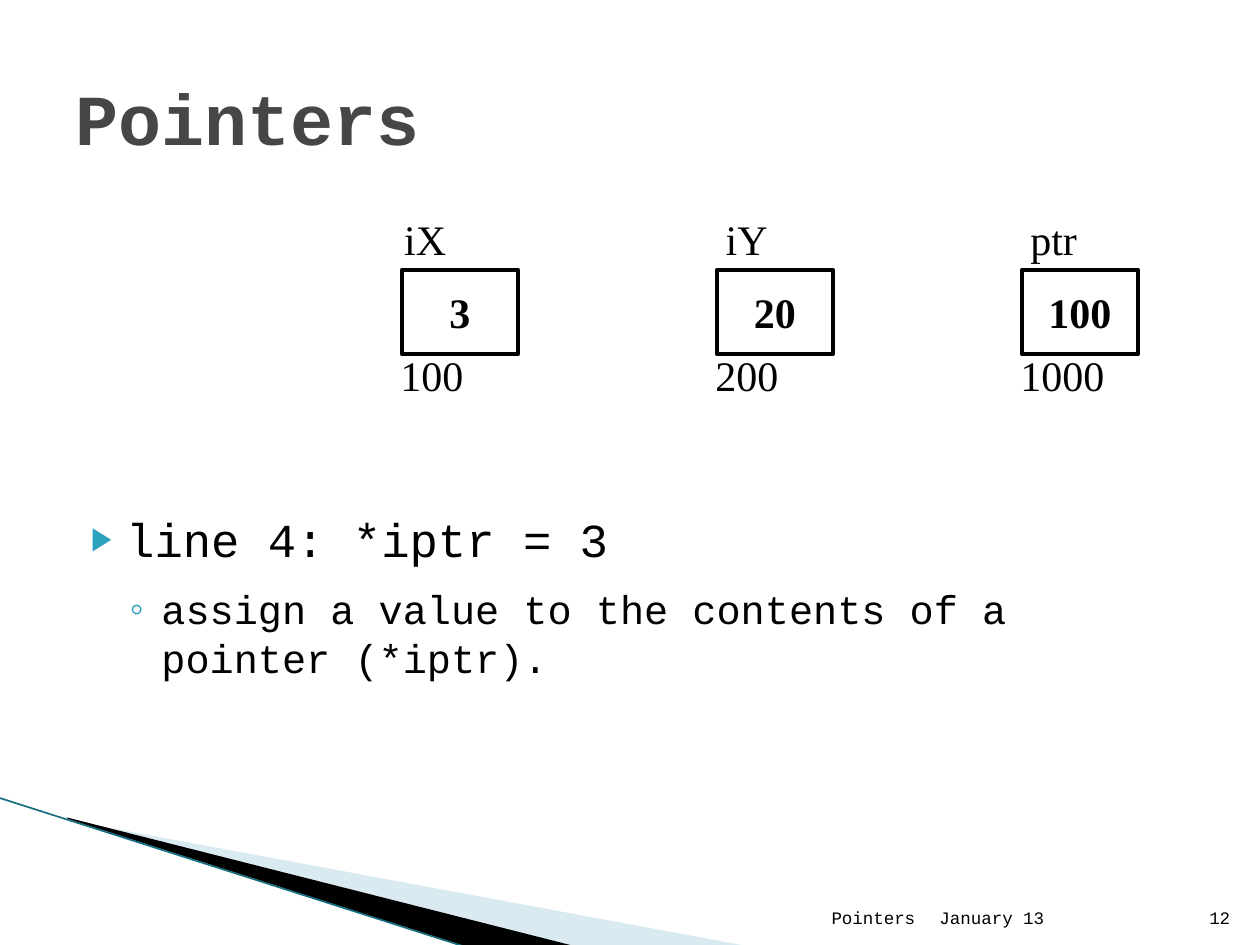
import pptx
import pptx.util
import pptx.dml.color
import pptx.enum.shapes
import pptx.enum.text
import pptx.oxml.ns
import lxml.etree

Cm = pptx.util.Cm
Pt = pptx.util.Pt
RGBColor = pptx.dml.color.RGBColor
Align = pptx.enum.text.PP_ALIGN
Anchor = pptx.enum.text.MSO_ANCHOR
qn = pptx.oxml.ns.qn

BLACK = RGBColor(0x00, 0x00, 0x00)
GREY = RGBColor(0x46, 0x46, 0x46)
TEAL = RGBColor(0x2D, 0xA2, 0xBF)
DARK_TEAL = RGBColor(0x16, 0x6E, 0x82)
PALE_BLUE = RGBColor(0xA0, 0xCB, 0xDC)
CODE_FONT = "Courier New"
DIAGRAM_FONT = "Times New Roman"

TITLE = "Pointers"
BULLETS = [
    dict(text="line 4: *iptr = 3", level=0, size=27, symbol="▶", scale=68, margin=1.02, hanging=0.71),
    dict(text="assign a value to the contents of a pointer (*iptr).",
         level=1, size=23, symbol="◦", scale=100, margin=1.73, hanging=0.64),
]
VARIABLES = [
    dict(name="iX", value="3", address="100", left=8.1, name_left=7.9, name_width=1.35, address_width=1.78),
    dict(name="iY", value="20", address="200", left=14.45, name_left=14.38, name_width=1.35, address_width=1.78),
    dict(name="ptr", value="100", address="1000", left=20.6, name_left=20.52, name_width=1.45, address_width=2.21),
]
FOOTERS = [
    ("January 13", 18.69, 5.33, Align.LEFT),
    ("Pointers", 12.17, 6.53, Align.RIGHT),
    ("12", 24.03, 1.02, Align.RIGHT),
]
WEDGES = [
    ([(1.4, 16.54), (15.11, 19.08), (11.58, 19.08), (1.4, 16.51)], PALE_BLUE, 40),
    ([(1.35, 16.48), (11.61, 19.08), (9.45, 19.1), (1.37, 16.51)], BLACK, 100),
]


def place(shape, left, top, width, height):
    shape.left, shape.top, shape.width, shape.height = Cm(left), Cm(top), Cm(width), Cm(height)


def write(paragraph, text, size, font, color=BLACK, bold=False):
    run = paragraph.add_run()
    run.text = text
    run.font.size = Pt(size)
    run.font.name = font
    run.font.bold = bold
    run.font.color.rgb = color


def add_text(text, left, top, width, height, size, font, align=Align.LEFT, anchor=Anchor.TOP, wrap=False):
    box = slide.shapes.add_textbox(Cm(left), Cm(top), Cm(width), Cm(height))
    frame = box.text_frame
    frame.word_wrap = wrap
    frame.vertical_anchor = anchor
    frame.paragraphs[0].alignment = align
    write(frame.paragraphs[0], text, size, font)


def add_wedge(points, color, opacity):
    corners = [(Cm(x), Cm(y)) for x, y in points]
    builder = slide.shapes.build_freeform(*corners[0])
    builder.add_line_segments(corners[1:], close=True)
    wedge = builder.convert_to_shape()
    wedge.shadow.inherit = False
    wedge.line.fill.background()
    wedge.fill.solid()
    wedge.fill.fore_color.rgb = color
    if opacity < 100:
        fill_color = wedge.fill._xPr.find(qn("a:solidFill"))[0]
        lxml.etree.SubElement(fill_color, qn("a:alpha"), val=str(opacity * 1000))


def add_bullet(paragraph, item):
    paragraph.level = item["level"]
    paragraph.space_before = paragraph.space_after = Pt(5)
    properties = paragraph._p.get_or_add_pPr()
    properties.set("marL", str(Cm(item["margin"])))
    properties.set("indent", str(-Cm(item["hanging"])))
    bullet_color = lxml.etree.SubElement(properties, qn("a:buClr"))
    lxml.etree.SubElement(bullet_color, qn("a:srgbClr"), val=str(TEAL))
    lxml.etree.SubElement(properties, qn("a:buSzPct"), val=str(item["scale"] * 1000))
    lxml.etree.SubElement(properties, qn("a:buChar"), char=item["symbol"])
    write(paragraph, item["text"], item["size"], CODE_FONT)


def add_variable(variable):
    cell = slide.shapes.add_shape(pptx.enum.shapes.MSO_SHAPE.RECTANGLE,
                                  Cm(variable["left"]), Cm(5.44), Cm(2.34), Cm(1.7))
    cell.shadow.inherit = False
    cell.fill.background()
    cell.line.color.rgb = BLACK
    cell.line.width = Pt(2.25)
    frame = cell.text_frame
    frame.word_wrap = False
    frame.vertical_anchor = Anchor.MIDDLE
    frame.paragraphs[0].alignment = Align.CENTER
    write(frame.paragraphs[0], variable["value"], 24, DIAGRAM_FONT, bold=True)
    add_text(variable["address"], variable["left"] - 0.28, 6.93, variable["address_width"], 1.27,
             24, DIAGRAM_FONT)
    add_text(variable["name"], variable["name_left"], 4.17, variable["name_width"], 1.27,
             24, DIAGRAM_FONT)


presentation = pptx.Presentation()
presentation.slide_width = Cm(25.4)
presentation.slide_height = Cm(19.05)
slide = presentation.slides.add_slide(presentation.slide_layouts[1])

for wedge in WEDGES:
    add_wedge(*wedge)
edge = slide.shapes.add_connector(pptx.enum.shapes.MSO_CONNECTOR.STRAIGHT,
                                  Cm(-0.03), Cm(16.08), Cm(9.42), Cm(19.1))
edge.line.color.rgb = DARK_TEAL
edge.line.width = Pt(0.95)
lxml.etree.SubElement(edge._element.spPr, qn("a:effectLst"))

title = slide.shapes.title
place(title, 1.27, 0.76, 22.86, 3.18)
title.text_frame.vertical_anchor = Anchor.MIDDLE
heading = title.text_frame.paragraphs[0]
heading.alignment = Align.LEFT
heading.space_before = heading.space_after = Pt(5)
write(heading, TITLE, 41, CODE_FONT, GREY, True)

body = slide.placeholders[1]
place(body, 1.27, 10.16, 22.86, 6.53)
for index, item in enumerate(BULLETS):
    frame = body.text_frame
    add_bullet(frame.add_paragraph() if index else frame.paragraphs[0], item)

for text, left, width, align in FOOTERS:
    add_text(text, left, 17.81, width, 1.02, 10, CODE_FONT, align, Anchor.BOTTOM, True)
for variable in VARIABLES:
    add_variable(variable)

presentation.save("out.pptx")
